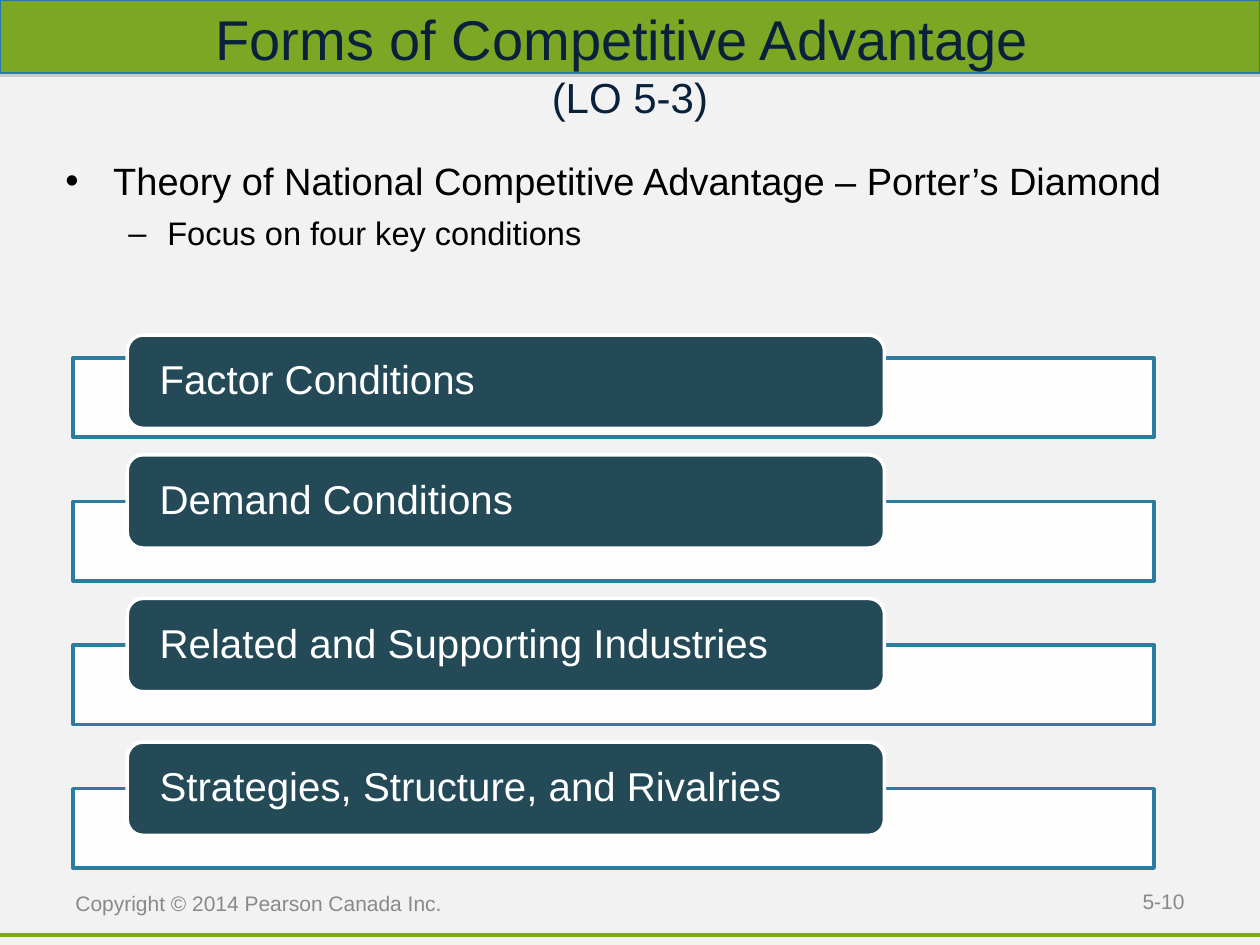
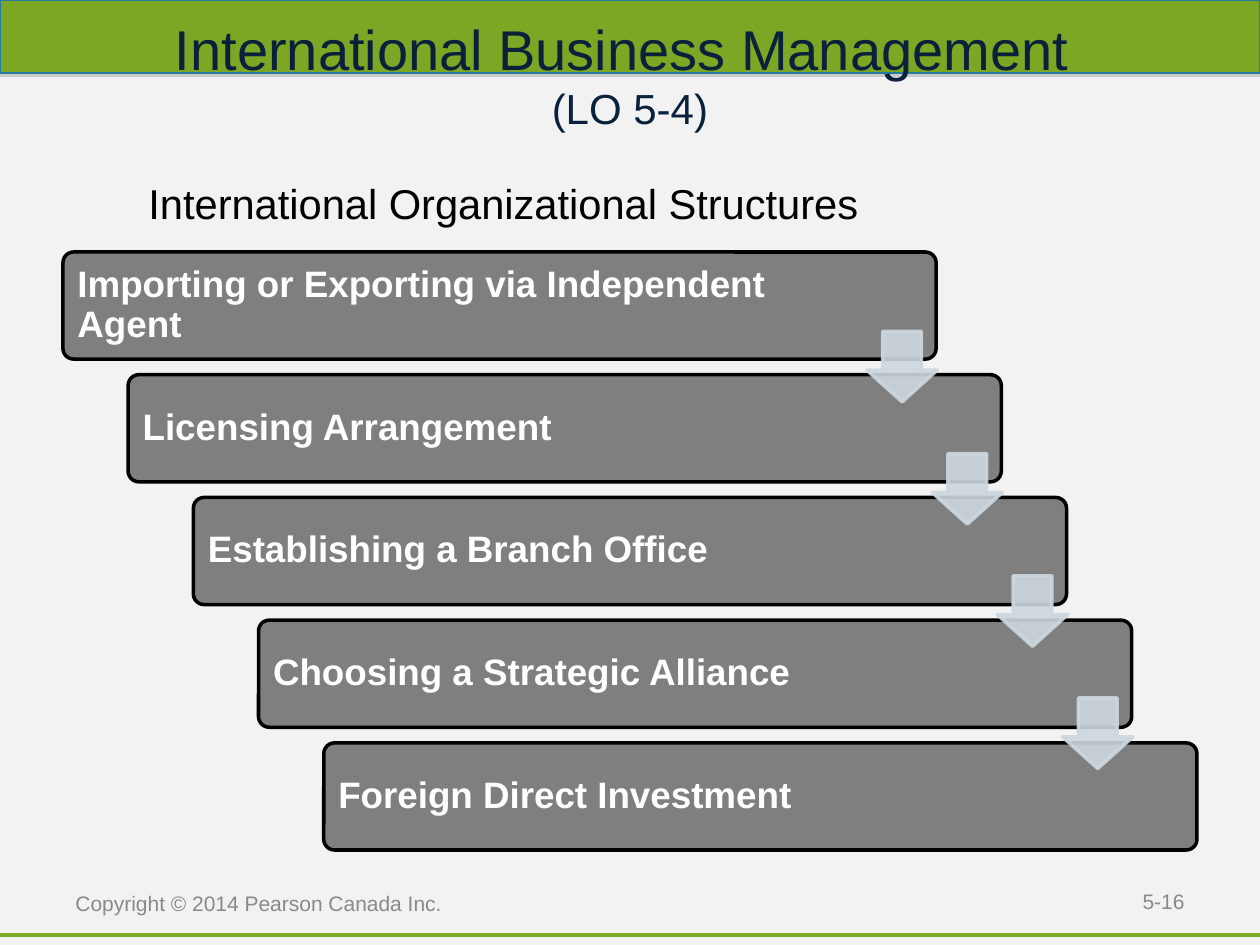
import dataclasses

import pptx
import pptx.dml.color
import pptx.enum.shapes
import pptx.enum.text
import pptx.oxml
import pptx.oxml.ns
import pptx.util

Inches = pptx.util.Inches
Pt = pptx.util.Pt
SHAPE = pptx.enum.shapes.MSO_SHAPE
ALIGN = pptx.enum.text.PP_ALIGN
ANCHOR = pptx.enum.text.MSO_ANCHOR


@dataclasses.dataclass(frozen=True)
class Theme:
    font: str = "Arial"
    background: str = "F2F2F2"
    green: str = "7CA724"
    band_edge: str = "287A9E"
    shadow: str = "808080"
    title: str = "09213B"
    body: str = "000000"
    footer: str = "898989"
    white: str = "FFFFFF"
    row_edge: str = "2C7C9F"
    pill: str = "244A58"
    step: str = "7F7F7F"
    step_edge: str = "000000"
    arrow: str = "CDD7DF"
    title_size: float = 32
    subtitle_size: float = 24
    bullet_size: float = 21.7
    sub_bullet_size: float = 18.6
    heading_size: float = 23.8
    pill_size: float = 23
    step_size: float = 21
    footer_size: float = 12
    line: float = 2


THEME = Theme()


def rgb(value):
    return pptx.dml.color.RGBColor.from_string(value)


def add_xml(parent, xml):
    """Append an element given as text, where {ns} stands for the namespace."""
    ns = pptx.oxml.ns.nsdecls("a")
    parent.append(pptx.oxml.parse_xml(xml.replace("{ns}", ns)))


def set_alpha(fill_parent, percent):
    color = fill_parent.find(".//" + pptx.oxml.ns.qn("a:srgbClr"))
    add_xml(color, f'<a:alpha {{ns}} val="{percent * 1000}"/>')


def set_font(p, size, color, bold=False):
    p.font.name = THEME.font
    p.font.size = Pt(size)
    p.font.bold = bold
    p.font.color.rgb = rgb(color)


def set_frame(tf, insets, anchor):
    tf.word_wrap = True
    tf.vertical_anchor = anchor
    tf.margin_left, tf.margin_top, tf.margin_right, tf.margin_bottom = map(Inches, insets)


def add_text(s, box, text, size, color, align=ALIGN.LEFT, anchor=ANCHOR.TOP,
             insets=(0.1, 0.05, 0.1, 0.05)):
    tf = s.shapes.add_textbox(*map(Inches, box)).text_frame
    set_frame(tf, insets, anchor)
    p = tf.paragraphs[0]
    p.text = text
    p.alignment = align
    set_font(p, size, color)
    return tf


def add_block(s, kind, box, fill, edge, width=THEME.line):
    sp = s.shapes.add_shape(kind, *map(Inches, box))
    sp.shadow.inherit = False
    sp.fill.solid()
    sp.fill.fore_color.rgb = rgb(fill)
    sp.line.color.rgb = rgb(edge)
    sp.line.width = Pt(width)
    return sp


def add_label_block(s, box, radius, text, size, fill, edge, insets, bold=False):
    """Rounded box with a left-aligned label."""
    sp = add_block(s, SHAPE.ROUNDED_RECTANGLE, box, fill, edge)
    sp.adjustments[0] = radius
    tf = sp.text_frame
    set_frame(tf, insets, ANCHOR.MIDDLE)
    p = tf.paragraphs[0]
    p.text = text
    p.alignment = ALIGN.LEFT
    p.line_spacing = 0.9
    set_font(p, size, THEME.white, bold)


def set_bullet(p, char, left, hanging):
    pPr = p._p.get_or_add_pPr()
    pPr.set("marL", str(Inches(left)))
    pPr.set("indent", str(Inches(-hanging)))
    add_xml(pPr, f'<a:buFont {{ns}} typeface="{THEME.font}"/>')
    add_xml(pPr, f'<a:buChar {{ns}} char="{char}"/>')


def add_band(s):
    band = add_block(s, SHAPE.RECTANGLE, (0, 0, 10, 0.58), THEME.green, THEME.band_edge, 0.75)
    effects = band._element.spPr.find(pptx.oxml.ns.qn("a:effectLst"))
    add_xml(effects, f'<a:outerShdw {{ns}} blurRad="0" dist="{Pt(1.8)}" dir="5400000">'
                     f'<a:srgbClr val="{THEME.shadow}"><a:alpha val="35000"/></a:srgbClr>'
                     '</a:outerShdw>')


def add_bottom_rule(s):
    rule = s.shapes.add_connector(pptx.enum.shapes.MSO_CONNECTOR.STRAIGHT,
                                  *map(Inches, (0, 7.42, 10, 7.42)))
    rule.line.color.rgb = rgb(THEME.green)
    rule.line.width = Pt(THEME.line)
    add_xml(rule._element.spPr, "<a:effectLst {ns}/>")


def add_title(s, title, objective, height):
    tf = add_text(s, (0, 0, 10, height), f"{title} \v{objective}", THEME.title_size,
                  THEME.title, ALIGN.CENTER, ANCHOR.MIDDLE, (0.25,) * 4)
    tf.paragraphs[0].runs[1].font.size = Pt(THEME.subtitle_size)


def add_slide(prs, title, objective, title_height, number):
    """Blank slide with the shared background, band, title and footer."""
    s = prs.slides.add_slide(prs.slide_layouts[6])
    s.background.fill.solid()
    s.background.fill.fore_color.rgb = rgb(THEME.background)
    add_bottom_rule(s)
    add_band(s)
    add_title(s, title, objective, title_height)
    add_text(s, (0.5, 6.83, 3.25, 0.67), "Copyright © 2014 Pearson Canada Inc.",
             THEME.footer_size, THEME.footer, anchor=ANCHOR.MIDDLE)
    add_text(s, (7.17, 6.95, 2.33, 0.4), number, THEME.footer_size, THEME.footer,
             ALIGN.RIGHT, ANCHOR.MIDDLE)
    return s


def add_bullets(s, main_point, sub_point):
    tf = add_text(s, (0.42, 1.2, 9.08, 1), main_point, THEME.bullet_size, THEME.body)
    set_bullet(tf.paragraphs[0], "•", 0.38, 0.38)
    p = tf.add_paragraph()
    p.text = sub_point
    p.level = 1
    p.space_before = Pt(6)
    set_bullet(p, "–", 0.81, 0.31)
    set_font(p, THEME.sub_bullet_size, THEME.body)


def add_condition_list(s, conditions):
    """Outlined rows, each with a pill; the first pill sits lower on its row."""
    pitch = 1.14
    for i, condition in enumerate(conditions):
        row = add_block(s, SHAPE.RECTANGLE, (0.58, 2.84 + i * pitch, 8.58, 0.63),
                        THEME.white, THEME.row_edge)
        set_alpha(row._element.spPr, 90)
        pill_top = 2.47 + i * pitch if i else 2.66
        add_label_block(s, (1.01, pill_top, 6.01, 0.74), 0.17, condition, THEME.pill_size,
                        THEME.pill, THEME.white, (0.22, 0, 0.22, 0))


def add_staircase(s, steps):
    """Boxes stepping down to the right, joined by down arrows."""
    dx, dy = 0.5175, 0.974
    for i, step in enumerate(steps):
        right_inset = 1.17 if i else 1.07
        add_label_block(s, (0.5 + i * dx, 2 + i * dy, 6.93, 0.85), 0.1, step, THEME.step_size,
                        THEME.step, THEME.step_edge, (0.09, 0.09, right_inset, 0.09), True)
    for i in range(len(steps) - 1):
        arrow = add_block(s, SHAPE.DOWN_ARROW, (6.88 + i * dx, 2.63 + i * 0.97, 0.56, 0.56),
                          THEME.arrow, THEME.arrow)
        arrow.adjustments[0] = 0.55
        arrow.adjustments[1] = 0.45
        set_alpha(arrow._element.spPr, 90)
        set_alpha(arrow.line._ln, 90)


def main():
    prs = pptx.Presentation()
    prs.slide_width, prs.slide_height = Inches(10), Inches(7.5)

    s = add_slide(prs, "Forms of Competitive Advantage", "(LO 5-3)", 1, "5-10")
    add_bullets(s, "Theory of National Competitive Advantage – Porter’s Diamond",
                "Focus on four key conditions")
    add_condition_list(s, ["Factor Conditions", "Demand Conditions",
                           "Related and Supporting Industries",
                           "Strategies, Structure, and Rivalries"])

    s = add_slide(prs, "International Business Management", "(LO 5-4)", 1.17, "5-16")
    add_text(s, (1.08, 1.36, 7.33, 0.5), "International Organizational Structures",
             THEME.heading_size, THEME.body)
    add_staircase(s, ["Importing or Exporting via Independent Agent",
                      "Licensing Arrangement", "Establishing a Branch Office",
                      "Choosing a Strategic Alliance", "Foreign Direct Investment"])

    prs.save("out.pptx")


if __name__ == "__main__":
    main()
